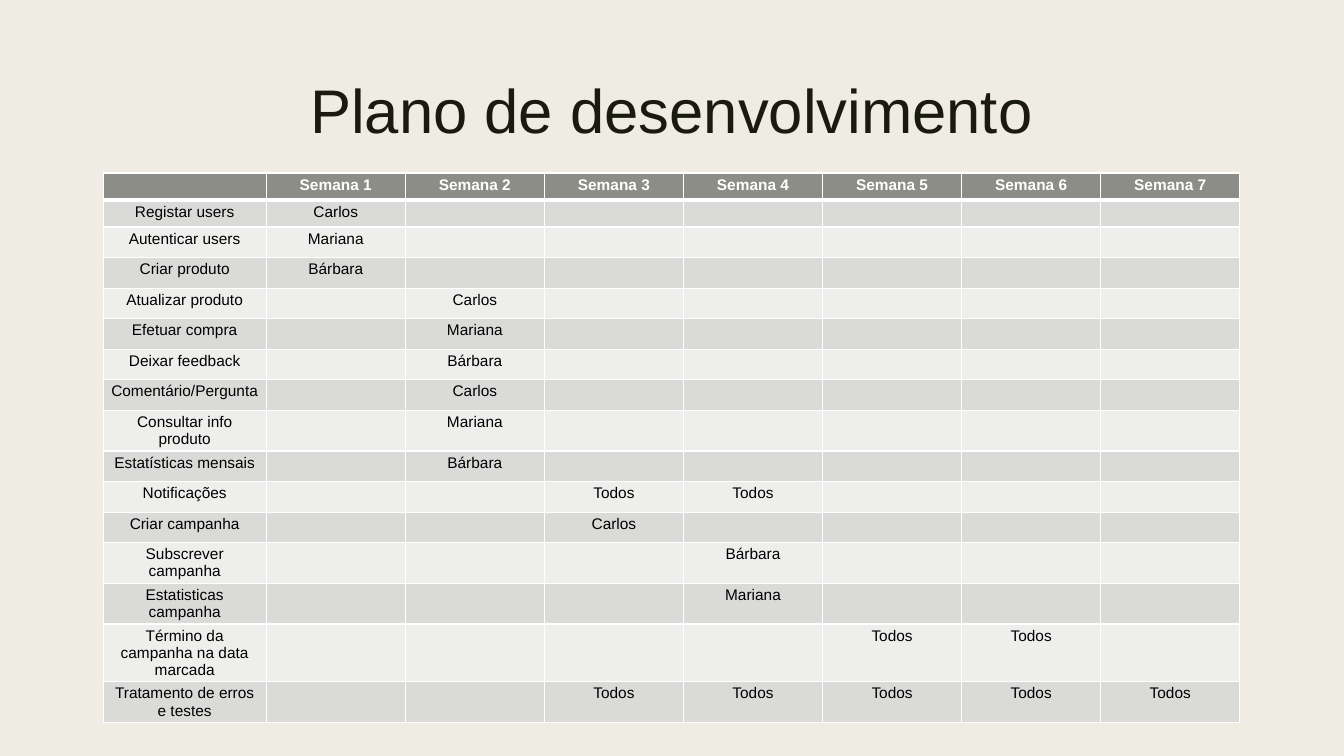
from lxml.etree import SubElement
from pptx import Presentation
from pptx.dml.color import RGBColor
from pptx.enum.shapes import MSO_SHAPE
from pptx.enum.text import MSO_ANCHOR, PP_ALIGN
from pptx.oxml.ns import qn
from pptx.util import Cm, Pt

HEADER = [""] + [f"Semana {week}" for week in range(1, 8)]
# Each task with the person in charge, by week number
TASKS = [
    ("Registar users", {1: "Carlos"}),
    ("Autenticar users", {1: "Mariana"}),
    ("Criar produto", {1: "Bárbara"}),
    ("Atualizar produto", {2: "Carlos"}),
    ("Efetuar compra", {2: "Mariana"}),
    ("Deixar feedback", {2: "Bárbara"}),
    ("Comentário/Pergunta", {2: "Carlos"}),
    ("Consultar info produto", {2: "Mariana"}),
    ("Estatísticas mensais", {2: "Bárbara"}),
    ("Notificações", {3: "Todos", 4: "Todos"}),
    ("Criar campanha", {3: "Carlos"}),
    ("Subscrever campanha", {4: "Bárbara"}),
    ("Estatisticas campanha", {4: "Mariana"}),
    ("Término da campanha na data marcada", {5: "Todos", 6: "Todos"}),
    ("Tratamento de erros e testes", {week: "Todos" for week in range(3, 8)}),
]
PAPER = "EFEDE3"


def rgb(color):
    return RGBColor.from_string(color)


def add_border(cell, side, width):
    """Draw a white line on one side (L, R, T or B) of a cell."""
    ln = SubElement(cell._tc.get_or_add_tcPr(), qn(f"a:ln{side}"), w=str(Pt(width)))
    SubElement(SubElement(ln, qn("a:solidFill")), qn("a:srgbClr"), val="FFFFFF")


prs = Presentation()
prs.slide_width, prs.slide_height = Cm(33.87), Cm(19.05)
slide = prs.slides.add_slide(prs.slide_layouts[5])
slide.background.fill.solid()
slide.background.fill.fore_color.rgb = rgb(PAPER)

# Full-slide panel, behind the title
title = slide.shapes.title
panel = slide.shapes.add_shape(MSO_SHAPE.RECTANGLE, 0, 0, prs.slide_width, prs.slide_height)
panel.shadow.inherit = False
panel.fill.solid()
panel.fill.fore_color.rgb = rgb(PAPER)
panel.line.fill.background()
title.element.addprevious(panel.element)

# Title
title.left, title.top, title.width, title.height = Cm(1.78), Cm(1.9), Cm(30.3), Cm(4.11)
tf = title.text_frame
tf.vertical_anchor = MSO_ANCHOR.TOP
p = tf.paragraphs[0]
p.alignment = PP_ALIGN.CENTER
p.line_spacing = 0.89
r = p.add_run()
r.text = "Plano de desenvolvimento"
r.font.name, r.font.size = "Arial", Pt(44)
r.font.color.rgb = rgb("191B0E")

# Schedule table
rows = [HEADER] + [[task] + [who.get(week, "") for week in range(1, 8)]
                   for task, who in TASKS]
table = slide.shapes.add_table(len(rows), len(HEADER), Cm(2.6), Cm(4.36),
                               Cm(28.65), Cm(12.14)).table
for i, column in enumerate(table.columns):
    column.width = Cm(4.11) if i == 0 else Cm(24.54) // 7

for i, texts in enumerate(rows):
    table.rows[i].height = Cm(0.68) if i < 2 else Cm(0.77)
    fill = "8C8D86" if i == 0 else "DADBD9" if i % 2 else "EEEEED"
    for j, text in enumerate(texts):
        cell = table.cell(i, j)
        cell.margin_left = cell.margin_right = Cm(0.16)
        cell.margin_top = cell.margin_bottom = Cm(0.08)
        for side in "LRTB":
            under_header = (i, side) in ((0, "B"), (1, "T"))
            add_border(cell, side, 3 if under_header else 1)
        cell.fill.solid()
        cell.fill.fore_color.rgb = rgb(fill)
        p = cell.text_frame.paragraphs[0]
        p.alignment = PP_ALIGN.CENTER
        if text:
            r = p.add_run()
            r.text = text
            r.font.name, r.font.size, r.font.bold = "Arial", Pt(11), i == 0
            r.font.color.rgb = rgb("FFFFFF" if i == 0 else "000000")
        else:
            # Keeps empty cells from stretching their row
            SubElement(p._p, qn("a:endParaRPr"), sz="1100")

prs.save("out.pptx")
